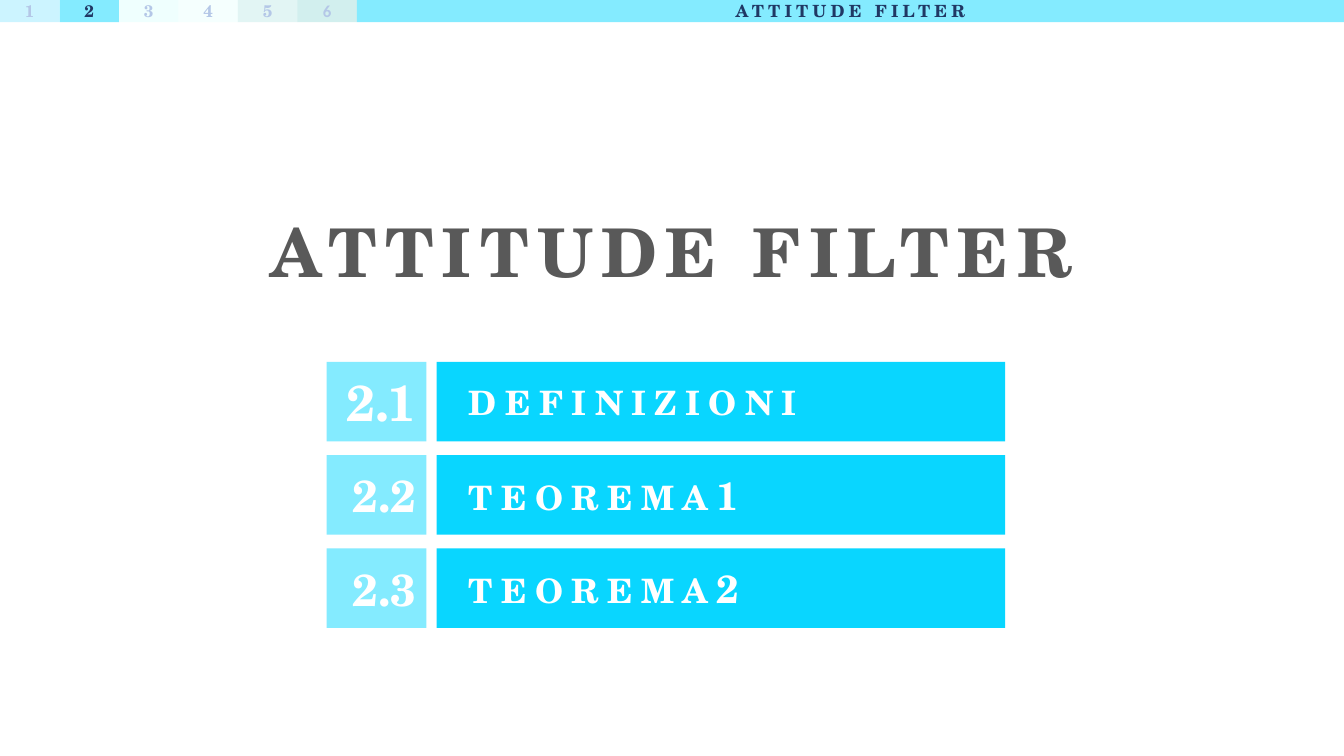
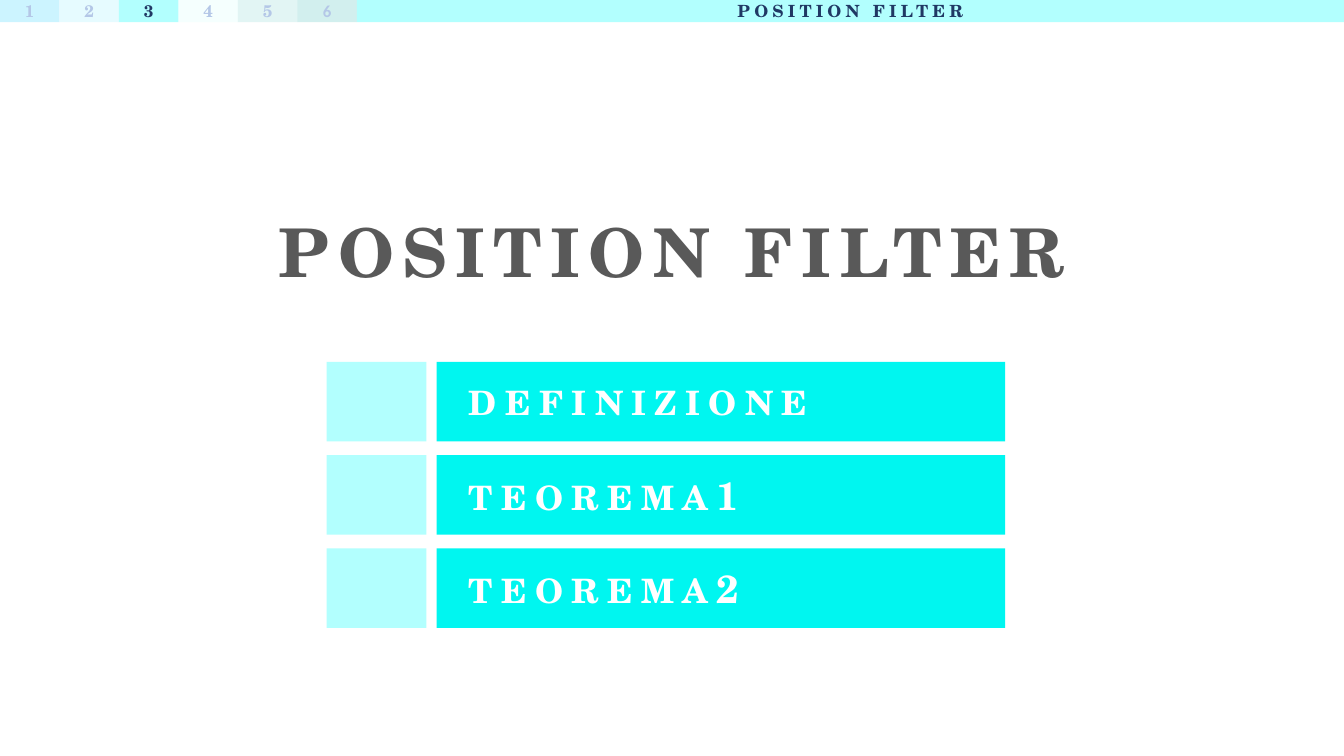
from pptx import Presentation
from pptx.dml.color import RGBColor
from pptx.enum.shapes import MSO_SHAPE
from pptx.enum.text import MSO_ANCHOR, MSO_AUTO_SIZE, PP_ALIGN
from pptx.oxml import parse_xml
from pptx.oxml.ns import nsdecls
from pptx.util import Inches, Pt

RECTANGLE = MSO_SHAPE.RECTANGLE
MIDDLE = MSO_ANCHOR.MIDDLE
NO_FIT = MSO_AUTO_SIZE.NONE
LEFT, CENTER, RIGHT = PP_ALIGN.LEFT, PP_ALIGN.CENTER, PP_ALIGN.RIGHT

SERIF, SANS = "TeX Gyre Schola", "Calibri"
WHITE, GREY, NAVY, PALE_BLUE = "FFFFFF", "595959", "203864", "B4C7E7"

SECTION_TABS = [
    ("1", "00CCFF", SERIF),
    ("2", "84EBFF", SERIF),
    ("3", "B2FFFE", SERIF),
    ("4", "D0FFFE", SERIF),
    ("5", "70D0C9", SERIF),
    ("6", "20B2AB", SANS),
]
SECTIONS = [
    {
        "title": "ATTITUDE FILTER",
        "tab": "2",
        "bar": "09D6FF",
        "topics": [("2.1", 36, "DEFINIZIONI", ""), ("2.2", 32, "TEOREMA", "1"), ("2.3", 32, "TEOREMA", "2")],
    },
    {
        "title": "POSITION FILTER",
        "tab": "3",
        "bar": "00F6F0",
        "topics": [("", 36, "DEFINIZIONE", ""), ("", 32, "TEOREMA", "1"), ("", 32, "TEOREMA", "2")],
    },
]

SLIDE_WIDTH, SLIDE_HEIGHT = 13.33, 7.5
TAB_WIDTH, TAB_HEIGHT = 0.59, 0.22
NUMBER_LEFT, NUMBER_WIDTH = 3.24, 0.99
BAR_LEFT, BAR_WIDTH, BAR_INDENT = 4.33, 5.64, 0.32
FIRST_ROW, LAST_ROW, ROW_HEIGHT = 3.59, 5.44, 0.79


def color(value):
    return RGBColor.from_string(value)


def add_run(paragraph, text, size, text_color, spacing=0, font=SERIF):
    run = paragraph.add_run()
    run.text = text
    run.font.name = font
    run.font.size = Pt(size)
    run.font.bold = True
    run.font.color.rgb = color(text_color)
    if spacing:
        run._r.get_or_add_rPr().set("spc", str(spacing * 100))


def add_box(shapes, left, top, width, height, fill, align, opacity=100):
    shape = shapes.add_shape(RECTANGLE, Inches(left), Inches(top), Inches(width), Inches(height))
    shape.shadow.inherit = False
    shape.line.fill.background()
    shape.fill.solid()
    shape.fill.fore_color.rgb = color(fill)
    if opacity < 100:
        alpha = parse_xml(f'<a:alpha {nsdecls("a")} val="{opacity * 1000}"/>')
        shape.fill._xPr.solidFill.srgbClr.append(alpha)
    shape.text_frame.vertical_anchor = MIDDLE
    paragraph = shape.text_frame.paragraphs[0]
    paragraph.alignment = align
    return shape, paragraph


def format_title(slide, text):
    title = slide.shapes.title
    title.left, title.top = Inches(0), Inches(1.81)
    title.width, title.height = Inches(SLIDE_WIDTH), Inches(1.45)
    title.text_frame.auto_size = NO_FIT
    title.text_frame.vertical_anchor = MIDDLE
    paragraph = title.text_frame.paragraphs[0]
    paragraph.alignment = CENTER
    paragraph.line_spacing = 0.9
    add_run(paragraph, text, 48, GREY, 6)


def add_header(slide, section, accent):
    shapes = slide.shapes.add_group_shape().shapes
    for index, (number, fill, font) in enumerate(SECTION_TABS):
        active = number == section["tab"]
        paragraph = add_box(shapes, index * TAB_WIDTH, 0, TAB_WIDTH, TAB_HEIGHT,
                            fill, CENTER, 100 if active else 20)[1]
        add_run(paragraph, number, 12, NAVY if active else PALE_BLUE, 3, font)
    left = len(SECTION_TABS) * TAB_WIDTH
    paragraph = add_box(shapes, left, 0, SLIDE_WIDTH - left, TAB_HEIGHT, accent, CENTER)[1]
    add_run(paragraph, section["title"], 12, NAVY, 3)


def add_topics(slide, section, accent):
    topics = section["topics"]
    pitch = (LAST_ROW - FIRST_ROW) / (len(topics) - 1)
    for index, (number, number_size, name, suffix) in enumerate(topics):
        top = FIRST_ROW + index * pitch
        paragraph = add_box(slide.shapes, NUMBER_LEFT, top, NUMBER_WIDTH, ROW_HEIGHT, accent, RIGHT)[1]
        if number:
            add_run(paragraph, number, number_size, WHITE)
        bar, paragraph = add_box(slide.shapes, BAR_LEFT, top, BAR_WIDTH, ROW_HEIGHT, section["bar"], LEFT)
        bar.text_frame.margin_left = Inches(BAR_INDENT)
        add_run(paragraph, name, 24, WHITE, 6)
        if suffix:
            add_run(paragraph, suffix, 28, WHITE, 6)


def main():
    presentation = Presentation()
    presentation.slide_width = Inches(SLIDE_WIDTH)
    presentation.slide_height = Inches(SLIDE_HEIGHT)
    title_only = presentation.slide_layouts[5]
    accents = {number: fill for number, fill, font in SECTION_TABS}
    for section in SECTIONS:
        slide = presentation.slides.add_slide(title_only)
        accent = accents[section["tab"]]
        format_title(slide, section["title"])
        add_header(slide, section, accent)
        add_topics(slide, section, accent)
    presentation.save("out.pptx")


if __name__ == "__main__":
    main()
